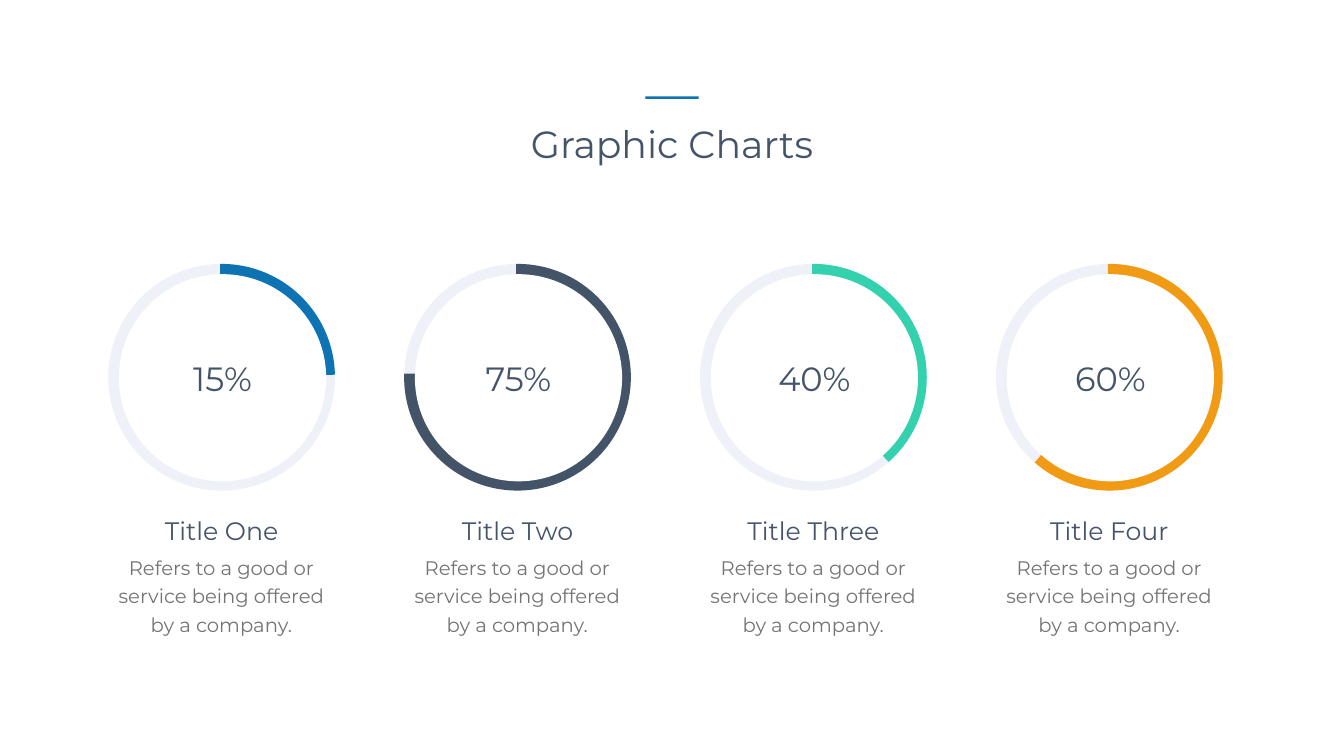
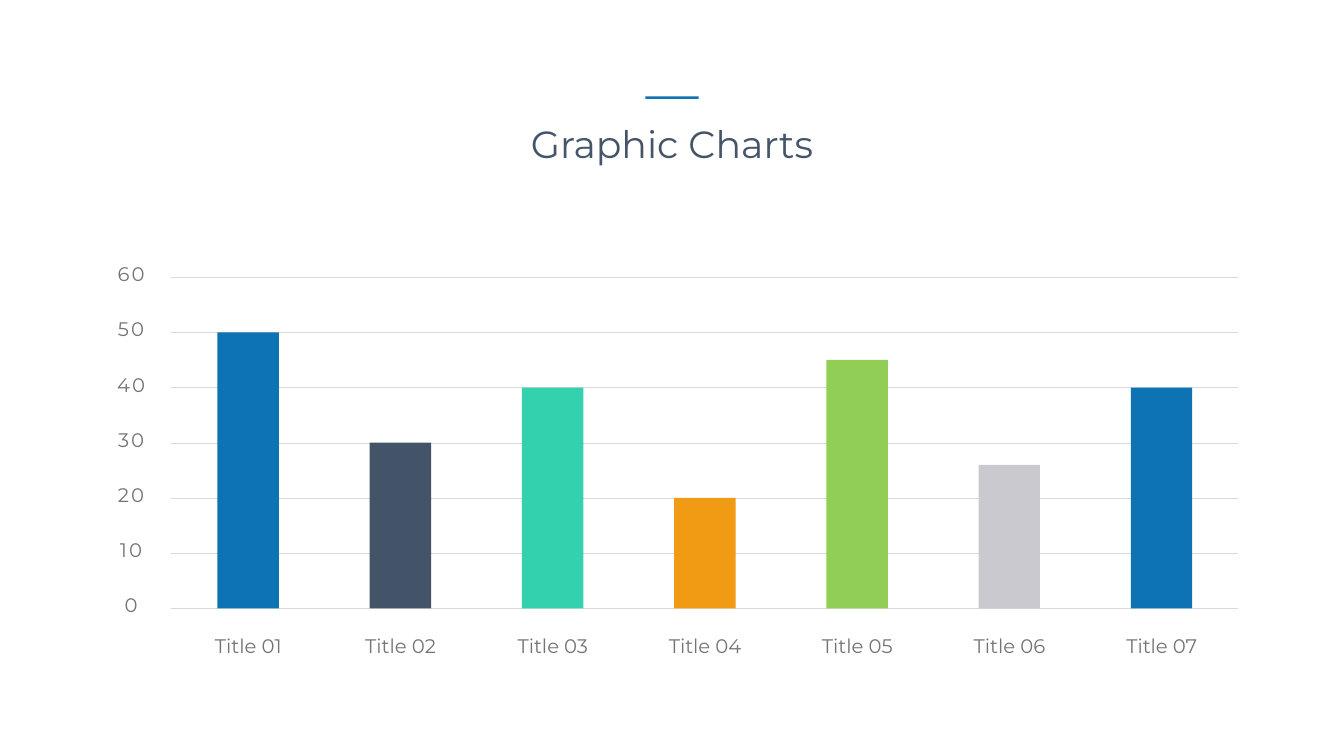
from pptx import Presentation
from pptx.dml.color import RGBColor
from pptx.enum.shapes import MSO_CONNECTOR, MSO_SHAPE as SHAPE
from pptx.enum.text import MSO_AUTO_SIZE, PP_ALIGN
from pptx.oxml.ns import qn
from pptx.util import Inches, Pt
from lxml.etree import SubElement

BLUE = RGBColor(0x0D, 0x73, 0xB2)
SLATE = RGBColor(0x44, 0x54, 0x68)
TEAL = RGBColor(0x33, 0xD1, 0xAD)
ORANGE = RGBColor(0xF1, 0x9A, 0x14)
GREEN = RGBColor(0x91, 0xCE, 0x55)
SILVER = RGBColor(0xCA, 0xC9, 0xD0)
HEADING = RGBColor(0x44, 0x54, 0x69)
BODY = RGBColor(0x73, 0x75, 0x72)
TRACK = RGBColor(0xEF, 0xF1, 0xF8)
GRID = RGBColor(0xD9, 0xD9, 0xD9)
WHITE = RGBColor(0xFF, 0xFF, 0xFF)

TITLE = {"size": Pt(54), "color": HEADING}
PERCENT = {"size": Pt(48), "color": HEADING}
CAPTION = {"size": Pt(36), "color": HEADING}
TEXT = {"size": Pt(28), "color": BODY}


class Deck:
    font = "Montserrat"

    def __init__(self, width, height):
        self.prs = Presentation()
        self.prs.slide_width = Inches(width)
        self.prs.slide_height = Inches(height)
        self.slide = None

    def new_slide(self, title):
        self.slide = self.prs.slides.add_slide(self.prs.slide_layouts[6])
        self.text(title, 8.24, 2.34, 10.18, 1.01, TITLE)
        self.shape(SHAPE.RECTANGLE, 12.8, 1.91, 1.06, 0.05, BLUE)

    def text(self, words, left, top, width, height, style, leading=None, tracking=None):
        box = self.slide.shapes.add_textbox(*map(Inches, (left, top, width, height)))
        frame = box.text_frame
        frame.word_wrap = True
        frame.auto_size = MSO_AUTO_SIZE.SHAPE_TO_FIT_TEXT
        paragraph = frame.paragraphs[0]
        paragraph.alignment = PP_ALIGN.CENTER
        paragraph.line_spacing = leading
        run = paragraph.add_run()
        run.text = words
        run.font.name = self.font
        for key, value in style.items():
            if key == "color":
                run.font.color.rgb = value
            else:
                setattr(run.font, key, value)
        if tracking:
            run.font._element.set("spc", str(tracking * 100))

    def shape(self, preset, left, top, width, height, fill=None, line=None, line_width=25):
        shape = self.slide.shapes.add_shape(preset, *map(Inches, (left, top, width, height)))
        shape.shadow.inherit = False
        if fill is None:
            shape.fill.background()
        else:
            shape.fill.solid()
            shape.fill.fore_color.rgb = fill
        if line is None:
            shape.line.fill.background()
        else:
            shape.line.color.rgb = line
            shape.line.width = Pt(line_width)
        return shape

    def gridline(self, left, right, y):
        line = self.slide.shapes.add_connector(
            MSO_CONNECTOR.STRAIGHT, *map(Inches, (left, y, right, y)))
        line.line.color.rgb = GRID
        line.line.width = Pt(0.5)
        SubElement(line._element.spPr, qn("a:effectLst"))

    def ring(self, left, top, arc_end, color):
        size = 4.15
        self.shape(SHAPE.OVAL, left, top, size, size, BLUE, TRACK)
        arc = self.shape(SHAPE.ARC, left, top, size, size, line=color)
        arc.adjustments[0] = 161.56
        arc.adjustments[1] = arc_end
        self.shape(SHAPE.OVAL, left + 0.04, top + 0.03, 4.11, 4.11, WHITE)


def build_rings(deck):
    deck.new_slide("Graphic Charts")
    rings = [
        ("15%", "Title One", 215.27, BLUE),
        ("75%", "Title Two", 109.16, SLATE),
        ("40%", "Title Three", 29.1, TEAL),
        ("60%", "Title Four", 78.77, ORANGE),
    ]
    description = "Refers to a good or service being offered by a company."
    for column, (percent, caption, arc_end, color) in enumerate(rings):
        left = 2.32 + 5.87 * column
        deck.ring(left, 5.41, arc_end, color)
        deck.text(percent, left + 0.99, 7.05, 2.21, 0.91, PERCENT)
        deck.text(caption, left - 0.23, 10.18, 4.61, 0.71, CAPTION)
        deck.text(description, left - 0.13, 10.88, 4.4, 1.83, TEXT, leading=Pt(40.8))


def build_bars(deck):
    deck.new_slide("Graphic Charts")
    baseline, unit = 12.07, 0.11
    unit = (baseline - 5.5) / 60
    for tick in range(60, -1, -10):
        y = baseline - tick * unit
        deck.gridline(3.4, 24.55, y)
        deck.text(str(tick), 2.11, y - 0.35, 0.98, 0.57, TEXT, tracking=3)
    bars = [(50, BLUE), (30, SLATE), (40, TEAL), (20, ORANGE),
            (45, GREEN), (26, SILVER), (40, BLUE)]
    for column, (value, color) in enumerate(bars):
        left = 4.31 + 3.02 * column
        height = value * unit
        deck.shape(SHAPE.RECTANGLE, left, baseline - height, 1.22, height, color)
        deck.text(f"Title {column + 1:02}", left - 0.63, 12.52, 2.49, 0.57, TEXT)


def main():
    deck = Deck(26.66, 15)
    build_rings(deck)
    build_bars(deck)
    deck.prs.save("out.pptx")


if __name__ == "__main__":
    main()
